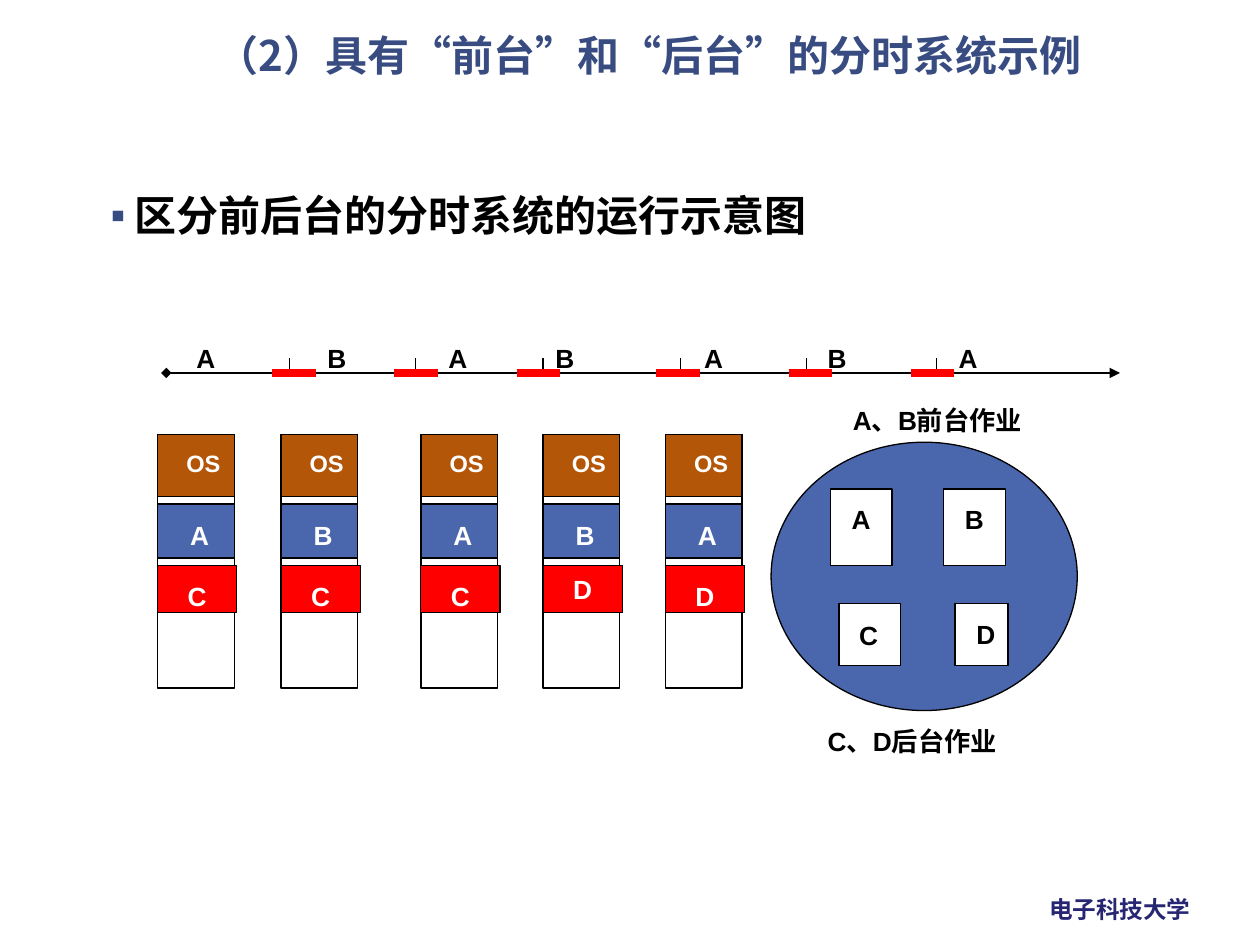
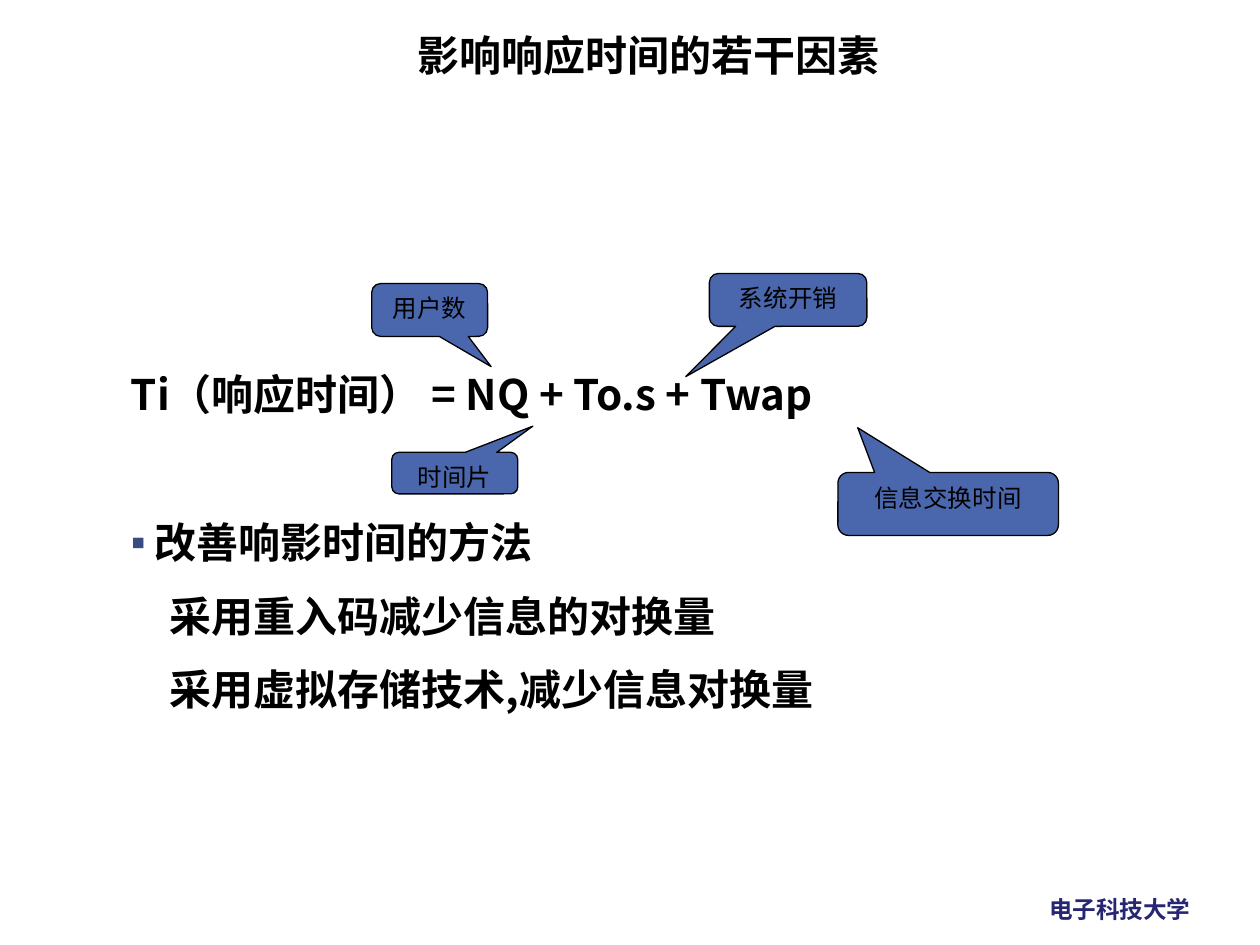
from typing import NamedTuple

from lxml import etree
from pptx import Presentation
from pptx.dml.color import RGBColor
from pptx.enum.shapes import MSO_CONNECTOR, MSO_SHAPE
from pptx.enum.text import MSO_ANCHOR, MSO_AUTO_SIZE, PP_ALIGN
from pptx.oxml.ns import qn
from pptx.util import Emu, Inches, Pt

RECT, OVAL = MSO_SHAPE.RECTANGLE, MSO_SHAPE.OVAL
CALLOUT = MSO_SHAPE.ROUNDED_RECTANGULAR_CALLOUT
STRAIGHT = MSO_CONNECTOR.STRAIGHT
LEFT, CENTER = PP_ALIGN.LEFT, PP_ALIGN.CENTER
TOP, NO_FIT = MSO_ANCHOR.TOP, MSO_AUTO_SIZE.NONE

BLACK = RGBColor(0x00, 0x00, 0x00)
WHITE = RGBColor(0xFF, 0xFF, 0xFF)
BLUE = RGBColor(0x4A, 0x66, 0xAC)
DARK_BLUE = RGBColor(0x38, 0x4C, 0x81)
NAVY = RGBColor(0x26, 0x26, 0x73)
BROWN = RGBColor(0xB4, 0x56, 0x08)
RED = RGBColor(0xFF, 0x00, 0x00)
LATIN, CHINESE = "Arial", "Noto Sans CJK SC"
LINE_RATIO = 1.24  # line height in ems

# The grid has 100 columns and 75 rows of square cells.
WIDTH, HEIGHT = Inches(10), Inches(7.5)
COL, ROW = WIDTH / 100, HEIGHT / 75


class Box(NamedTuple):
    col: float
    row: float
    cols: float
    rows: float

    def emu(self) -> list[Emu]:
        return [Emu(round(n * unit)) for n, unit in zip(self, (COL, ROW, COL, ROW))]


class Style(NamedTuple):
    size: float
    color: RGBColor = BLACK
    font: str = LATIN
    bold: bool = True
    align: PP_ALIGN = LEFT
    spacing: float = 1


class Line(NamedTuple):
    text: str
    before: float = 0
    margin: float = 0
    bullet: bool = False


class Switch(NamedTuple):
    """A change of job on the time axis, in columns."""
    tick: float
    mark: float
    label: float
    job: str


class Memory(NamedTuple):
    col: float
    foreground: str
    background: str
    label_row: float = 45.5


class Job(NamedTuple):
    name: str
    box: Box
    label_col: float
    label_row: float


class Term(NamedTuple):
    text: str
    box: Box
    pointer: tuple[float, float]


TITLE_BOX = Box(12.2, 2.1, 78.6, 6)
SCHOOL_BOX = Box(82.3, 70.5, 13.4, 3.3)
BODY = Style(24, font=CHINESE)
TITLE = BODY._replace(align=CENTER, spacing=0.9)
LABEL = Style(15)
LIGHT_LABEL = Style(15, WHITE)
BULLET_MARGIN = 1.9

AXIS_ROW, TICK_ROW, AXIS_LABEL_ROW = 29.6, 28.4, 26.6
MARK_COLS, LABEL_COLS, LABEL_ROWS = 3.45, 4.2, 3.5
FIRST_JOB_COL = 14.6
SWITCHES = [
    Switch(23, 21.6, 25, "B"),
    Switch(33, 31.3, 34.6, "A"),
    Switch(43.1, 41, 43.1, "B"),
    Switch(54, 52.1, 54.9, "A"),
    Switch(64, 62.6, 64.7, "B"),
    Switch(74.3, 72.3, 75.1, "A"),
]
MEMORIES = [
    Memory(12.5, "A", "C"),
    Memory(22.3, "B", "C"),
    Memory(33.4, "A", "C"),
    Memory(43.1, "B", "D", 44.9),
    Memory(52.8, "A", "D"),
]
DISK = Box(61.2, 35.1, 24.3, 21.3)
JOBS = [
    Job("A", Box(65.9, 38.8, 4.9, 6.1), 66.6, 39.4),
    Job("B", Box(74.9, 38.8, 4.9, 6.1), 75.6, 39.4),
    Job("C", Box(66.6, 47.9, 4.9, 4.9), 67.2, 48.6),
    Job("D", Box(75.8, 47.9, 4.2, 4.9), 76.5, 48.5),
]
TERMS = [
    Term("用户数", Box(29.5, 22.5, 9.2, 4.2), (0.53, 1.07)),
    Term("时间片", Box(31.1, 35.9, 10, 3.3), (0.62, -1.13)),
    Term("系统开销", Box(56.3, 21.7, 12.5, 4.2), (-0.65, 1.45)),
    Term("信息交换时间", Box(66.5, 37.5, 17.5, 5), (-0.41, -1.21)),
]


def set_style(paragraph, style: Style) -> None:
    paragraph.alignment = style.align
    paragraph.line_spacing = Pt(round(style.size * LINE_RATIO * style.spacing, 1))
    font = paragraph.font
    font.size, font.bold, font.name = Pt(style.size), style.bold, style.font
    font.color.rgb = style.color
    defaults = paragraph._p.pPr.find(qn("a:defRPr"))
    etree.SubElement(defaults, qn("a:ea")).set("typeface", CHINESE)


def set_bullet(paragraph, line: Line) -> None:
    properties = paragraph._p.get_or_add_pPr()
    properties.set("marL", str(round(line.margin * COL)))
    properties.set("indent", str(round(-line.margin * COL) if line.bullet else 0))
    if line.bullet:
        color = etree.SubElement(properties, qn("a:buClr"))
        etree.SubElement(color, qn("a:srgbClr")).set("val", str(DARK_BLUE))
        etree.SubElement(properties, qn("a:buFont")).set("typeface", LATIN)
        etree.SubElement(properties, qn("a:buChar")).set("char", "▪")


def add_text(slide, box: Box, lines: list[Line], style: Style, wrap: bool = True) -> None:
    frame = slide.shapes.add_textbox(*box.emu()).text_frame
    frame.word_wrap = wrap
    for index, line in enumerate(lines):
        paragraph = frame.add_paragraph() if index else frame.paragraphs[0]
        paragraph.text = line.text
        set_bullet(paragraph, line)
        paragraph.space_before = Pt(line.before)
        set_style(paragraph, style)


def add_label(slide, text: str, col: float, row: float, style: Style = LABEL,
              cols: float = LABEL_COLS) -> None:
    add_text(slide, Box(col, row, cols, LABEL_ROWS), [Line(text)], style)


def add_block(slide, kind: MSO_SHAPE, box: Box, fill: RGBColor):
    block = slide.shapes.add_shape(kind, *box.emu())
    block.shadow.inherit = False
    block.fill.solid()
    block.fill.fore_color.rgb = fill
    block.line.color.rgb = BLACK
    block.line.width = Pt(0.75)
    return block


def add_line(slide, start: tuple[float, float], end: tuple[float, float],
             color: RGBColor = BLACK, width: float = 0.75):
    ends = [Emu(round(n * unit)) for n, unit in zip(start + end, (COL, ROW) * 2)]
    line = slide.shapes.add_connector(STRAIGHT, *ends)
    line.line.color.rgb = color
    line.line.width = Pt(width)
    etree.SubElement(line._element.spPr, qn("a:effectLst"))
    return line


def add_slide(deck, title: str, color: RGBColor):
    """Add a slide with its title and the name of the school."""
    slide = deck.slides.add_slide(deck.slide_layouts[5])
    heading = slide.shapes.title
    heading.left, heading.top, heading.width, heading.height = TITLE_BOX.emu()
    frame = heading.text_frame
    frame.text = title
    frame.vertical_anchor, frame.auto_size = TOP, NO_FIT
    set_style(frame.paragraphs[0], TITLE._replace(color=color))
    add_text(slide, SCHOOL_BOX, [Line("电子科技大学")], Style(13.5, NAVY, CHINESE), wrap=False)
    return slide


def draw_time_axis(slide) -> None:
    axis = add_line(slide, (13.2, AXIS_ROW), (88.9, AXIS_ROW), width=1)
    outline = axis.line._get_or_add_ln()
    for end, arrow in (("a:headEnd", "diamond"), ("a:tailEnd", "triangle")):
        etree.SubElement(outline, qn(end)).set("type", arrow)
    add_label(slide, "A", FIRST_JOB_COL, AXIS_LABEL_ROW)
    for switch in SWITCHES:
        add_line(slide, (switch.tick, TICK_ROW), (switch.tick, AXIS_ROW))
        add_line(slide, (switch.mark, AXIS_ROW), (switch.mark + MARK_COLS, AXIS_ROW), RED, 4.5)
        add_label(slide, switch.job, switch.label, AXIS_LABEL_ROW)


def draw_memory(slide, memory: Memory) -> None:
    col = memory.col
    add_block(slide, RECT, Box(col, 34.5, 6.1, 20.1), WHITE)
    add_block(slide, RECT, Box(col, 34.5, 6.1, 4.9), BROWN)
    add_block(slide, RECT, Box(col, 40, 6.1, 4.3), BLUE)
    add_block(slide, RECT, Box(col, 44.9, 6.3, 3.7), RED)
    add_label(slide, "OS", col + 1.3, 35.1, Style(13.5, WHITE), cols=4.9)
    add_label(slide, memory.foreground, col + 1.6, 40.6, LIGHT_LABEL)
    add_label(slide, memory.background, col + 1.4, memory.label_row, LIGHT_LABEL)


def draw_disk(slide) -> None:
    add_block(slide, OVAL, DISK, BLUE)
    for job in JOBS:
        add_block(slide, RECT, job.box, WHITE)
        add_label(slide, job.name, job.label_col, job.label_row)
    add_label(slide, "A、B前台作业", 66.7, 31.5, cols=18.8)
    add_label(slide, "C、D后台作业", 64.7, 57, cols=22.2)


def draw_term(slide, term: Term) -> None:
    callout = add_block(slide, CALLOUT, term.box, BLUE)
    for index, value in enumerate((*term.pointer, 0.17)):
        callout.adjustments[index] = value
    frame = callout.text_frame
    frame.text = term.text
    frame.vertical_anchor = TOP
    set_style(frame.paragraphs[0], Style(14, bold=False, align=CENTER))


def build_time_sharing(deck) -> None:
    slide = add_slide(deck, "（2）具有“前台”和“后台”的分时系统示例", DARK_BLUE)
    add_text(slide, Box(7.8, 14.4, 88.3, 56.3),
             [Line("区分前后台的分时系统的运行示意图", margin=BULLET_MARGIN, bullet=True)], BODY)
    draw_disk(slide)
    draw_time_axis(slide)
    for memory in MEMORIES:
        draw_memory(slide, memory)


def build_response_time(deck) -> None:
    slide = add_slide(deck, "影响响应时间的若干因素", BLACK)
    add_text(slide, Box(9.4, 28.6, 84.3, 39.1), [
        Line("Ti（响应时间） = NQ + To.s + Twap"),
        Line("改善响影时间的方法", 55, BULLET_MARGIN, True),
        Line("采用重入码减少信息的对换量", 12.25, 3.1),
        Line("采用虚拟存储技术,减少信息对换量", 12.25, 3.1),
    ], BODY)
    for term in TERMS:
        draw_term(slide, term)


def main() -> None:
    deck = Presentation()
    deck.slide_width, deck.slide_height = WIDTH, HEIGHT
    build_time_sharing(deck)
    build_response_time(deck)
    deck.save("out.pptx")


if __name__ == "__main__":
    main()
